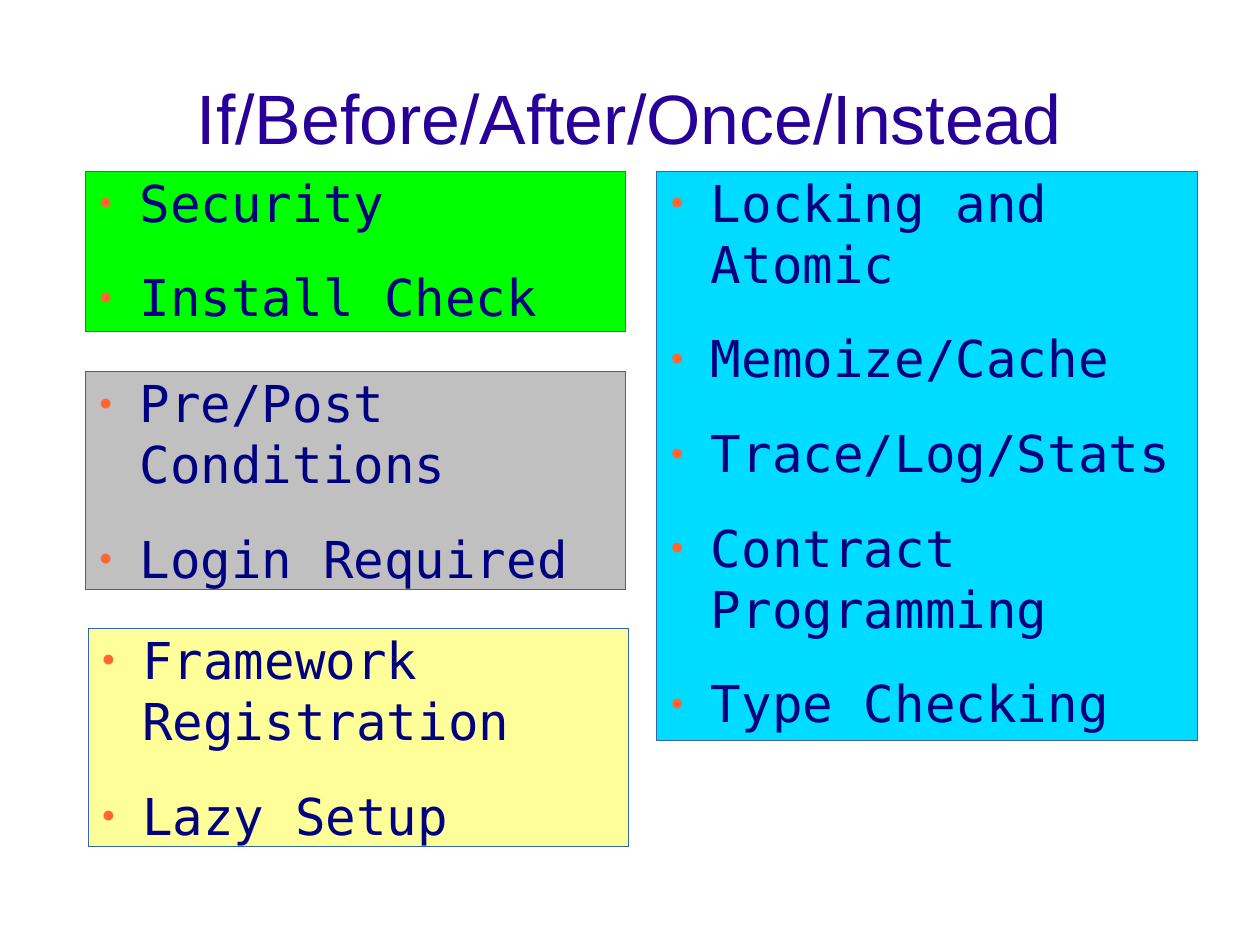
from lxml.etree import SubElement
from pptx import Presentation
from pptx.dml.color import RGBColor
from pptx.enum.text import MSO_ANCHOR, MSO_AUTO_SIZE, PP_ALIGN
from pptx.oxml.ns import qn
from pptx.util import Cm, Pt

TITLE_PURPLE = RGBColor(0x28, 0x00, 0x99)
TEXT_NAVY = RGBColor(0x00, 0x00, 0x80)
OUTLINE_BLUE = RGBColor(0x34, 0x65, 0xA4)
BULLET_ORANGE = RGBColor(0xFF, 0x66, 0x33)
GREEN = RGBColor(0x00, 0xFF, 0x00)
GRAY = RGBColor(0xC0, 0xC0, 0xC0)
YELLOW = RGBColor(0xFF, 0xFF, 0x99)
CYAN = RGBColor(0x00, 0xDC, 0xFF)

BOX_WIDTH = 12.01


def place(shape, left, top, width, height, anchor, auto_size):
    """Position a placeholder and strip its margins."""
    shape.left, shape.top = Cm(left), Cm(top)
    shape.width, shape.height = Cm(width), Cm(height)
    frame = shape.text_frame
    frame.margin_left = frame.margin_right = 0
    frame.margin_top = frame.margin_bottom = 0
    frame.word_wrap = True
    frame.vertical_anchor = anchor
    frame.auto_size = auto_size
    return frame


def add_bullet(paragraph):
    """Give a paragraph a hanging indent and a small orange bullet."""
    properties = paragraph._p.get_or_add_pPr()
    properties.set("marL", str(Cm(1.2)))
    properties.set("indent", str(Cm(-0.9)))
    color = SubElement(properties, qn("a:buClr"))
    SubElement(color, qn("a:srgbClr"), val=str(BULLET_ORANGE))
    SubElement(properties, qn("a:buSzPct"), val="45000")
    SubElement(properties, qn("a:buChar"), char="●")


# Slide on the Comparison layout: one title and four bodies
presentation = Presentation()
presentation.slide_width, presentation.slide_height = Cm(28), Cm(21)
slide = presentation.slides.add_slide(presentation.slide_layouts[4])

# Title
frame = place(slide.shapes.title, 1.4, 0.84, 25.2, 3.5,
              MSO_ANCHOR.MIDDLE, MSO_AUTO_SIZE.NONE)
paragraph = frame.paragraphs[0]
paragraph.alignment = PP_ALIGN.CENTER
run = paragraph.add_run()
run.text = "If/Before/After/Once/Instead"
run.font.name = "Arial"
run.font.size = Pt(44)
run.font.color.rgb = TITLE_PURPLE

# Bulleted boxes: left, top, height, fill, items
boxes = [
    (1.9, 3.81, 3.81, GREEN, ["Security", "Install Check"]),
    (1.9, 8.26, 5.08, GRAY, ["Pre/Post Conditions", "Login Required"]),
    (1.96, 13.97, 5.08, YELLOW, ["Framework Registration", "Lazy Setup"]),
    (14.6, 3.81, 12.9, CYAN, ["Locking and Atomic", "Memoize/Cache",
                              "Trace/Log/Stats", "Contract Programming",
                              "Type Checking"]),
]
for index, (left, top, height, fill, items) in enumerate(boxes, start=1):
    shape = slide.placeholders[index]
    frame = place(shape, left, top, BOX_WIDTH, height,
                  MSO_ANCHOR.TOP, MSO_AUTO_SIZE.SHAPE_TO_FIT_TEXT)
    shape.fill.solid()
    shape.fill.fore_color.rgb = fill
    shape.line.color.rgb = OUTLINE_BLUE
    shape.line.width = Pt(0)
    for number, item in enumerate(items):
        paragraph = frame.add_paragraph() if number else frame.paragraphs[0]
        add_bullet(paragraph)
        paragraph.alignment = PP_ALIGN.LEFT
        paragraph.space_before = Pt(0)
        paragraph.space_after = Pt(21.2)
        run = paragraph.add_run()
        run.text = item
        run.font.name = "DejaVu Sans Mono"
        run.font.size = Pt(32)
        run.font.bold = False
        run.font.color.rgb = TEXT_NAVY

presentation.save("out.pptx")
